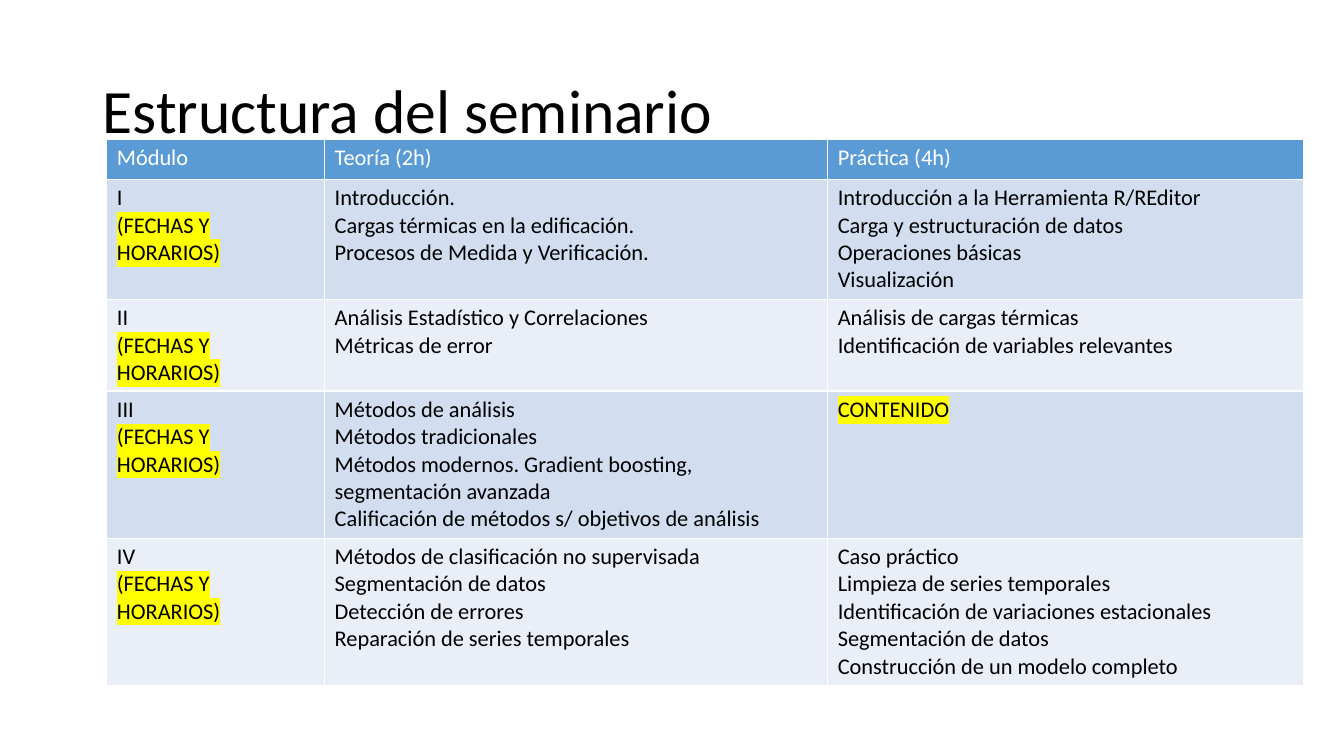
from dataclasses import dataclass

from lxml.etree import SubElement
from pptx import Presentation
from pptx.dml.color import RGBColor as RGB
from pptx.enum.text import MSO_ANCHOR as Anchor
from pptx.oxml.ns import qn
from pptx.util import Emu, Pt


@dataclass(frozen=True)
class Theme:
    font: str = "Calibri"
    title_size: int = 44
    table_size: int = 16
    text: str = "000000"
    light: str = "FFFFFF"
    header: str = "5B9BD5"
    bands: tuple = ("D2DEEF", "EAEFF7")
    pending: str = "FFFF00"


theme = Theme()
PX = 9144  # 100 px to the inch
DATES = "(FECHAS Y HORARIOS)"
PENDING = {DATES, "CONTENIDO"}

modules = [
    (["Módulo"], ["Teoría (2h)"], ["Práctica (4h)"]),
    (
        ["I", DATES],
        ["Introducción.", "Cargas térmicas en la edificación.",
         "Procesos de Medida y Verificación."],
        ["Introducción a la Herramienta R/REditor", "Carga y estructuración de datos",
         "Operaciones básicas", "Visualización"],
    ),
    (
        ["II", DATES],
        ["Análisis Estadístico y Correlaciones", "Métricas de error"],
        ["Análisis de cargas térmicas", "Identificación de variables relevantes"],
    ),
    (
        ["III", DATES],
        ["Métodos de análisis", "Métodos tradicionales",
         "Métodos modernos. Gradient boosting, segmentación avanzada",
         "Calificación de métodos s/ objetivos de análisis"],
        ["CONTENIDO"],
    ),
    (
        ["IV", DATES],
        ["Métodos de clasificación no supervisada", "Segmentación de datos",
         "Detección de errores", "Reparación de series temporales"],
        ["Caso práctico", "Limpieza de series temporales",
         "Identificación de variaciones estacionales", "Segmentación de datos",
         "Construcción de un modelo completo"],
    ),
]
column_widths = [216, 499, 472]
row_heights = [40, 119, 91, 146, 146]


def style_run(run, size, color):
    run.font.name = theme.font
    run.font.size = Pt(size)
    run.font.bold = False
    run.font.color.rgb = RGB.from_string(color)
    if run.text in PENDING:
        properties = run.font._element
        highlight = SubElement(properties, qn("a:highlight"))
        SubElement(highlight, qn("a:srgbClr"), val=theme.pending)
        properties.find(qn("a:solidFill")).addnext(highlight)


def add_borders(cell):
    """Put thin light lines on all four sides, ahead of the cell's fill."""
    properties = cell._tc.get_or_add_tcPr()
    for position, side in enumerate(("a:lnL", "a:lnR", "a:lnT", "a:lnB")):
        line = SubElement(properties, qn(side), w=str(Pt(1)))
        fill = SubElement(line, qn("a:solidFill"))
        SubElement(fill, qn("a:srgbClr"), val=theme.light)
        properties.insert(position, line)


deck = Presentation()
deck.slide_width, deck.slide_height = Emu(1333 * PX), Emu(750 * PX)
slide = deck.slides.add_slide(deck.slide_layouts[6])

title = slide.shapes.add_textbox(92 * PX, 40 * PX, 1150 * PX, 145 * PX).text_frame
title.word_wrap = True
title.vertical_anchor = Anchor.MIDDLE
title.text = "Estructura del seminario"
title.paragraphs[0].line_spacing = 0.9
style_run(title.paragraphs[0].runs[0], theme.title_size, theme.text)

schedule = slide.shapes.add_table(
    len(modules), len(column_widths), 106 * PX, 138 * PX,
    sum(column_widths) * PX, sum(row_heights) * PX,
).table
for column, width in zip(schedule.columns, column_widths):
    column.width = Emu(width * PX)

for row_index, (row, height, module) in enumerate(
    zip(schedule.rows, row_heights, modules)
):
    row.height = Emu(height * PX)
    is_header = row_index == 0
    background = theme.header if is_header else theme.bands[(row_index - 1) % 2]
    for cell, topics in zip(row.cells, module):
        cell.text_frame.text = "\n".join(topics)
        cell.fill.solid()
        cell.fill.fore_color.rgb = RGB.from_string(background)
        add_borders(cell)
        for paragraph in cell.text_frame.paragraphs:
            style_run(paragraph.runs[0], theme.table_size,
                      theme.light if is_header else theme.text)

deck.save("out.pptx")
